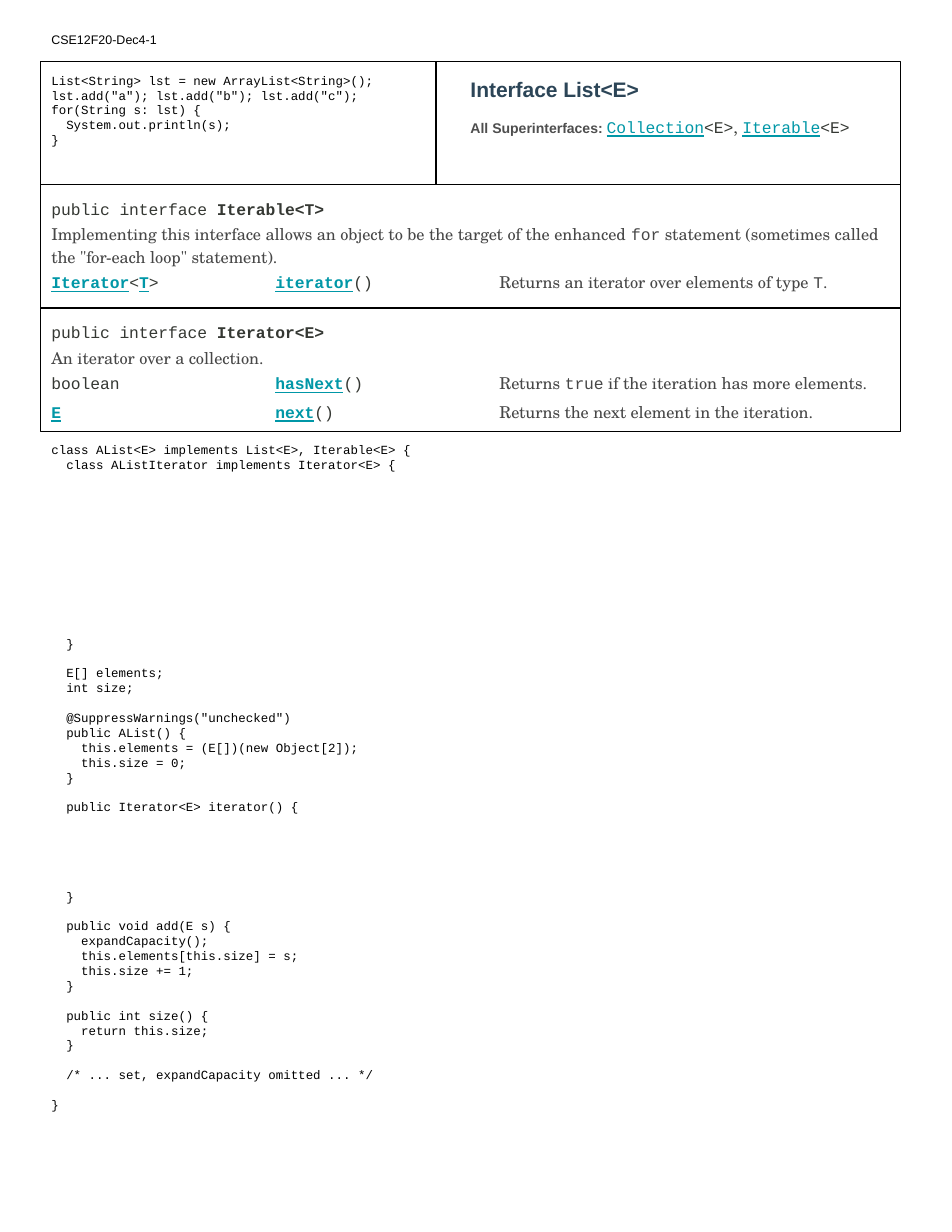
import pptx
import pptx.dml.color
import pptx.enum.shapes
import pptx.enum.text
import pptx.util
import pptx.oxml
import pptx.oxml.ns

BLACK = pptx.dml.color.RGBColor(0x00, 0x00, 0x00)
NAVY = pptx.dml.color.RGBColor(0x2C, 0x45, 0x57)
INK = pptx.dml.color.RGBColor(0x35, 0x38, 0x33)
GREY = pptx.dml.color.RGBColor(0x47, 0x47, 0x47)
LABEL = pptx.dml.color.RGBColor(0x4E, 0x4E, 0x4E)
TEAL = pptx.dml.color.RGBColor(0x00, 0x97, 0xA7)

MONO, SANS, SERIF = "Courier New", "Arial", "TeX Gyre Schola"


def font_format(name, size, color, **extra):
    return {"name": name, "size": pptx.util.Pt(size), "color": color, **extra}


FORMATS = {
    "header": font_format(SANS, 8, BLACK),
    "code": font_format(MONO, 8, BLACK),
    "title": font_format(SANS, 13.5, NAVY, bold=True),
    "label": font_format(SANS, 9, LABEL, bold=True),
    "mono": font_format(MONO, 10.5, INK),
    "name": font_format(MONO, 10.5, INK, bold=True),
    "type": font_format(MONO, 10.5, TEAL, underline=True),
    "link": font_format(MONO, 10.5, TEAL, bold=True, underline=True),
    "prose": font_format(SERIF, 10.5, GREY),
    "word": font_format(MONO, 10.5, GREY),
    "comma": font_format(SERIF, 10.5, INK),
}

LOOP_CODE = """\
List<String> lst = new ArrayList<String>();
lst.add("a"); lst.add("b"); lst.add("c");
for(String s: lst) {
  System.out.println(s);
}"""

# Two parts with writing room after the first and the second
CLASS_START = """\
class AList<E> implements List<E>, Iterable<E> {
  class AListIterator implements Iterator<E> {"""

CLASS_FIELDS = """\
  }

  E[] elements;
  int size;

  @SuppressWarnings("unchecked")
  public AList() {
    this.elements = (E[])(new Object[2]);
    this.size = 0;
  }

  public Iterator<E> iterator() {"""

CLASS_END = """\
  }

  public void add(E s) {
    expandCapacity();
    this.elements[this.size] = s;
    this.size += 1;
  }

  public int size() {
    return this.size;
  }

  /* ... set, expandCapacity omitted ... */

}"""


class Handout:
    """Content columns run from 0 to 1 across the margins; a row is a tenth of the page."""

    MARGIN = 0.36
    CODE_LINE = 9.55  # points taken by one blank line of code

    def __init__(self, deck):
        self.slide = deck.slides.add_slide(deck.slide_layouts[6])
        self.row = deck.slide_height / 10
        self.left = pptx.util.Inches(self.MARGIN)
        self.width = deck.slide_width - self.left - pptx.util.Inches(0.46)

    def place(self, column, row, columns, rows):
        return [int(value) for value in (
            self.left + column * self.width, row * self.row,
            columns * self.width, rows * self.row)]

    def text_box(self, *area):
        return self.prepare(self.slide.shapes.add_textbox(*self.place(*area)))

    def panel(self, *area):
        shape = self.slide.shapes.add_shape(
            pptx.enum.shapes.MSO_SHAPE.RECTANGLE, *self.place(*area))
        shape.shadow.inherit = False
        shape.fill.background()
        shape.line.color.rgb = BLACK
        shape.line.width = pptx.util.Pt(0.75)
        return self.prepare(shape)

    def prepare(self, shape):
        frame = shape.text_frame
        frame.word_wrap = True
        frame.vertical_anchor = pptx.enum.text.MSO_ANCHOR.TOP
        for side in ("left", "top", "right", "bottom"):
            setattr(frame, f"margin_{side}", pptx.util.Inches(0.1))
        return frame

    def paragraph(self, frame, spans, before=0, spacing=1.15, indent=0, tabs=()):
        """Write (format, text) spans; before is in points, indent and tabs in inches."""
        first = not frame.paragraphs[0].runs
        para = frame.paragraphs[0] if first else frame.add_paragraph()
        para.alignment = pptx.enum.text.PP_ALIGN.LEFT
        para.line_spacing = spacing
        para.space_before = pptx.util.Pt(0 if first else before)
        properties = para._p.get_or_add_pPr()
        if indent:
            properties.set("marL", str(pptx.util.Inches(indent)))
        if tabs:
            stops = pptx.oxml.ns.qn("a:tabLst")
            tab_list = properties.makeelement(stops, {})
            for tab in tabs:
                tab_list.append(tab_list.makeelement(
                    pptx.oxml.ns.qn("a:tab"),
                    {"pos": str(pptx.util.Inches(tab)), "algn": "l"}))
            properties.append(tab_list)
        for kind, text in spans:
            span = para.add_run()
            span.text = text
            for key, value in FORMATS[kind].items():
                if key == "color":
                    span.font.color.rgb = value
                else:
                    setattr(span.font, key, value)

    def code(self, frame, text, blanks=0):
        """Write code lines, turning blank lines into space before the next line."""
        for line in text.splitlines():
            if not line:
                blanks += 1
                continue
            self.paragraph(frame, [("code", line)], blanks * self.CODE_LINE, 1.0)
            blanks = 0

    def interface(self, row, name, description, methods):
        """Panel with a declaration, a description and a three-column method list."""
        frame = self.panel(0, row, 1, 1)
        self.paragraph(frame, [("mono", "public interface "), ("name", name)])
        self.paragraph(frame, description, before=2)
        for number, (result, method, purpose) in enumerate(methods):
            spans = [*result, ("mono", "\t"), ("link", method), ("mono", "()\t"), *purpose]
            self.paragraph(frame, spans, before=2 + 2 * number, tabs=(2, 4))


def main():
    deck = pptx.Presentation()
    deck.slide_width = pptx.util.Inches(8.5)
    deck.slide_height = pptx.util.Inches(11)
    page = Handout(deck)
    split = 0.46

    header = page.text_box(0, 0.2, 0.27, 0.3)
    page.paragraph(header, [("header", "CSE12F20-Dec4-1")], spacing=1.0)

    page.code(page.panel(0, 0.5, split, 1), LOOP_CODE)

    page.interface(
        1.5, "Iterable<T>",
        [("prose", "Implementing this interface allows an object to be the target of the enhanced "),
         ("word", "for"),
         ("prose", ' statement (sometimes called the "for-each loop" statement).')],
        [([("link", "Iterator"), ("mono", "<"), ("link", "T"), ("mono", ">")], "iterator",
          [("prose", "Returns an iterator over elements of type "), ("word", "T"), ("prose", ".")])])

    summary = page.panel(split, 0.5, 1 - split, 1)
    page.paragraph(summary, [("title", "Interface List<E>")], indent=0.21)
    page.paragraph(
        summary,
        [("label", "All Superinterfaces: "), ("type", "Collection"), ("mono", "<E>"),
         ("comma", ", "), ("type", "Iterable"), ("mono", "<E>")],
        before=8, indent=0.21)

    page.interface(
        2.5, "Iterator<E>",
        [("prose", "An iterator over a collection.")],
        [([("mono", "boolean")], "hasNext",
          [("prose", "Returns "), ("word", "true"),
           ("prose", " if the iteration has more elements.")]),
         ([("link", "E")], "next",
          [("prose", "Returns the next element in the iteration.")])])

    listing = page.text_box(0, 3.5, split, 5.73)
    for text, blanks in ((CLASS_START, 0), (CLASS_FIELDS, 11), (CLASS_END, 5)):
        page.code(listing, text, blanks)

    deck.save("out.pptx")


if __name__ == "__main__":
    main()
